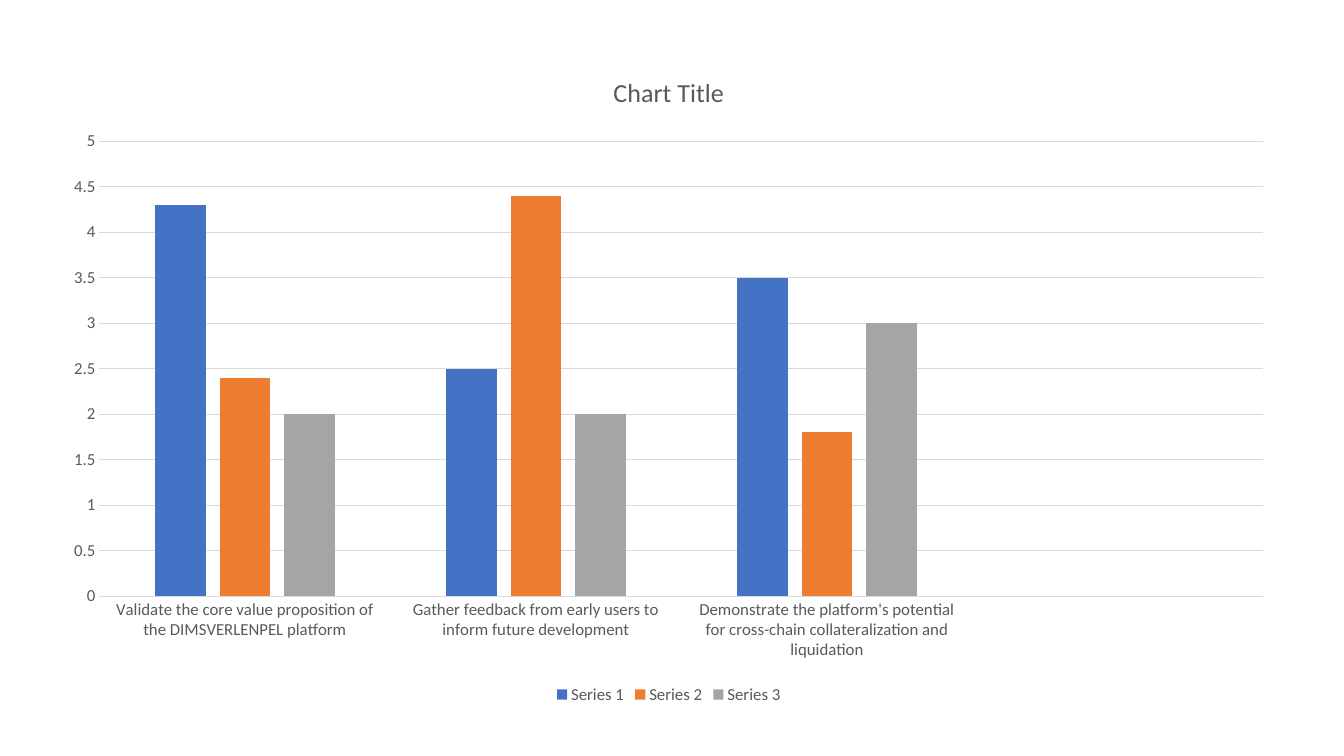
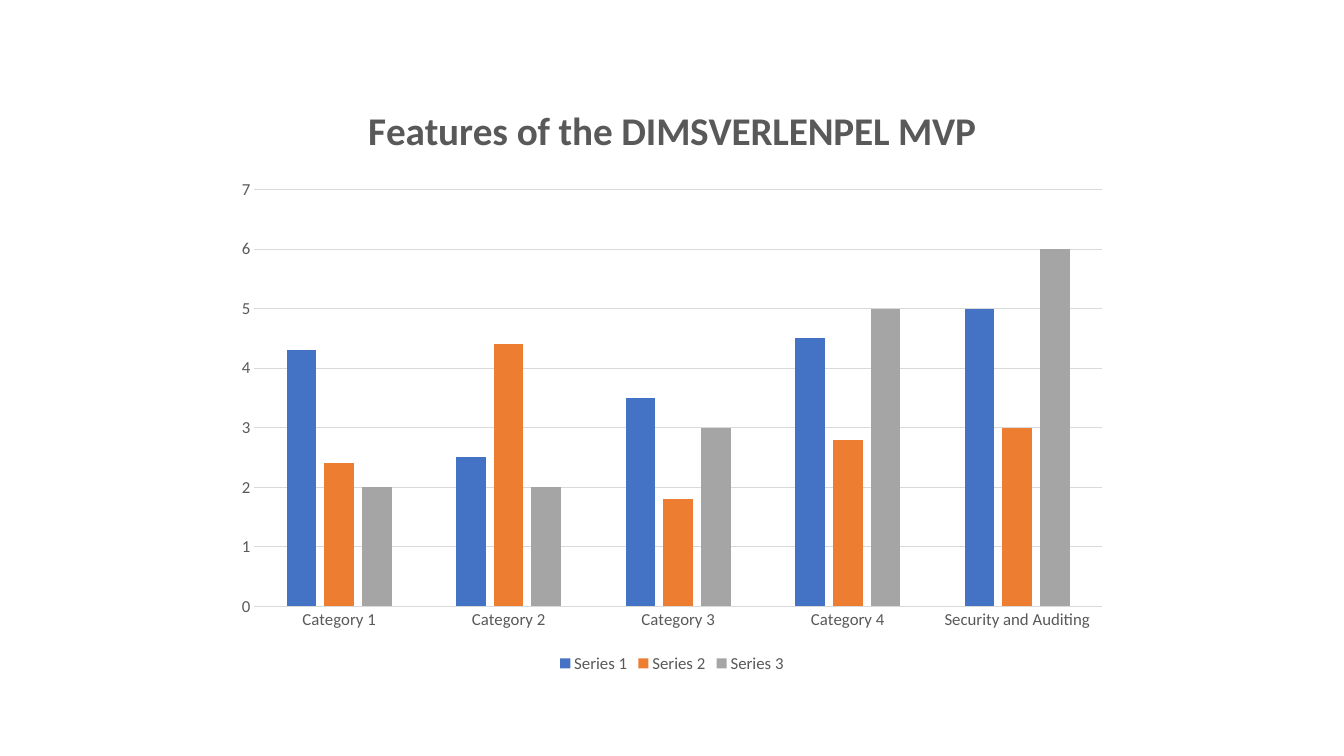
"""Build two slides, each with one clustered column chart."""
from pptx import Presentation
from pptx.chart.data import CategoryChartData
from pptx.dml.color import RGBColor
from pptx.enum import chart as ch
from pptx.util import Pt

COLORS = {"text": "595959", "line": "D9D9D9",
          "Series 1": "4472C4", "Series 2": "ED7D31", "Series 3": "A5A5A5"}
FONT = "Calibri"

CHARTS = [
    {"title": "Chart Title", "size": 18.6, "bold": False,
     "box": (35.3, 36.7, 884.9, 469.4), "top": 5, "step": 0.5,
     "cats": ["Validate the core value proposition of the DIMSVERLENPEL platform",
              "Gather feedback from early users to inform future development",
              "Demonstrate the platform's potential for cross-chain "
              "collateralization and liquidation", ""],
     "values": [(4.3, 2.5, 3.5, None), (2.4, 4.4, 1.8, None), (2, 2, 3, None)]},
    {"title": "Features of the DIMSVERLENPEL MVP", "size": 28, "bold": True,
     "box": (160, 56.9, 640, 427), "top": 7, "step": 1,
     "cats": ["Category 1", "Category 2", "Category 3", "Category 4",
              "Security and Auditing"],
     "values": [(4.3, 2.5, 3.5, 4.5, 5), (2.4, 4.4, 1.8, 2.8, 3), (2, 2, 3, 5, 6)]},
]


def rgb(name):
    return RGBColor.from_string(COLORS[name])


def style_font(font, size, bold=False):
    font.name, font.size, font.bold = FONT, Pt(size), bold
    font.color.rgb = rgb("text")


prs = Presentation()
prs.slide_width, prs.slide_height = Pt(960), Pt(540)

for info in CHARTS:
    s = prs.slides.add_slide(prs.slide_layouts[6])
    data = CategoryChartData()
    data.categories = info["cats"]
    for number, values in enumerate(info["values"], 1):
        data.add_series(f"Series {number}", values)
    chart = s.shapes.add_chart(ch.XL_CHART_TYPE.COLUMN_CLUSTERED,
                               *map(Pt, info["box"]), data).chart
    style_font(chart.font, 12)

    chart.has_title = True
    p = chart.chart_title.text_frame.paragraphs[0]
    p.text = info["title"]
    style_font(p.font, info["size"], info["bold"])
    chart.chart_title.include_in_layout = False

    chart.has_legend = True
    chart.legend.position = ch.XL_LEGEND_POSITION.BOTTOM
    chart.legend.include_in_layout = False
    style_font(chart.legend.font, 12)

    cat_axis, val_axis = chart.category_axis, chart.value_axis
    for axis in (cat_axis, val_axis):
        axis.major_tick_mark = axis.minor_tick_mark = ch.XL_TICK_MARK.NONE
        style_font(axis.tick_labels.font, 12)
    val_axis.minimum_scale, val_axis.maximum_scale = 0, info["top"]
    val_axis.major_unit = info["step"]
    val_axis.format.line.fill.background()
    for line in (cat_axis.format.line, val_axis.major_gridlines.format.line):
        line.color.rgb = rgb("line")
        line.width = Pt(0.75)

    plot = chart.plots[0]
    plot.gap_width, plot.overlap = 219, -27
    plot.vary_by_categories = False
    for series in plot.series:
        series.format.fill.solid()
        series.format.fill.fore_color.rgb = rgb(series.name)

prs.save("out.pptx")
